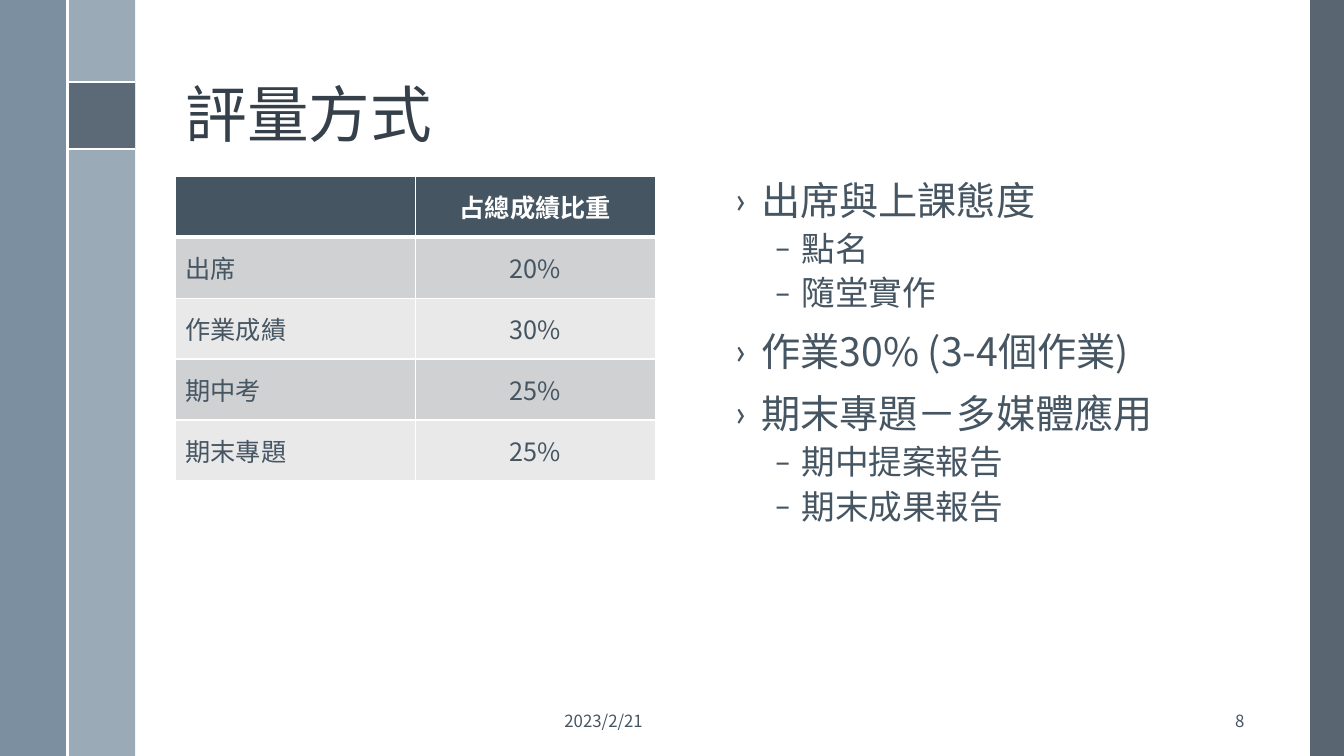
from lxml import etree
from pptx import Presentation
from pptx.dml.color import RGBColor
from pptx.enum.shapes import MSO_CONNECTOR, MSO_SHAPE
from pptx.enum.text import MSO_ANCHOR, MSO_AUTO_SIZE, PP_ALIGN
from pptx.oxml.ns import qn
from pptx.util import Inches, Pt

LEFT, CENTER, RIGHT = PP_ALIGN.LEFT, PP_ALIGN.CENTER, PP_ALIGN.RIGHT
MIDDLE, BOTTOM = MSO_ANCHOR.MIDDLE, MSO_ANCHOR.BOTTOM
RECTANGLE, STRAIGHT, NO_AUTOFIT = MSO_SHAPE.RECTANGLE, MSO_CONNECTOR.STRAIGHT, MSO_AUTO_SIZE.NONE

# Content
TITLE = "評量方式"
GRADES = [
    ("", "占總成績比重"),
    ("出席", "20%"),
    ("作業成績", "30%"),
    ("期中考", "25%"),
    ("期末專題", "25%"),
]
OUTLINE = [
    (0, "出席與上課態度"),
    (1, "點名"),
    (1, "隨堂實作"),
    (0, "作業30% (3-4個作業)"),
    (0, "期末專題－多媒體應用"),
    (1, "期中提案報告"),
    (1, "期末成果報告"),
]
# Per outline level: bullet, left margin, size, space before
LEVELS = [("›", 0.27, 28, 14), ("–", 0.67, 24, 6)]
HANGING = 0.27
DATE, PAGE = "2023/2/21", "8"

# Style and grid
CJK, LATIN = "Noto Sans CJK TC", "Calibri"
INK, TITLE_INK, WHITE = "465562", "35404A", "FFFFFF"
BANDS = ["E9E9EA", "CFD1D3"]
WIDTH, HEIGHT = 13.33, 7.5
BAR = 0.67
MARK_TOP = 0.81
TEXT_LEFT, TEXT_RIGHT = 1.74, 12.44
BODY_TOP, BODY_LEFT = 1.75, 7.18
COLUMN_WIDTH, ROW_HEIGHT = 2.38, 3.02 / len(GRADES)
FOOTER_TOP, FOOTER_HEIGHT = 6.95, 0.4


def color(value):
    return RGBColor.from_string(value)


def place(shape, left, top, width, height):
    shape.left, shape.top = Inches(left), Inches(top)
    shape.width, shape.height = Inches(width), Inches(height)


def style(paragraph, size, ink=INK, align=LEFT, bold=False, latin=CJK):
    paragraph.alignment = align
    for run in paragraph.runs:
        run.font.size, run.font.bold, run.font.name = Pt(size), bold, latin
        run.font.color.rgb = color(ink)
        etree.SubElement(run.font._element, qn("a:ea"), typeface=CJK)


def add_block(slide, left, top, width, height, fill, opacity):
    block = slide.shapes.add_shape(RECTANGLE, 0, 0, 0, 0)
    place(block, left, top, width, height)
    block.shadow.inherit = False
    block.line.fill.background()
    block.fill.solid()
    block.fill.fore_color.rgb = color(fill)
    if opacity < 100:
        tint = block._element.spPr.find(".//" + qn("a:srgbClr"))
        etree.SubElement(tint, qn("a:alpha"), val=str(opacity * 1000))


def add_rule(slide, *ends):
    rule = slide.shapes.add_connector(STRAIGHT, *[Inches(end) for end in ends])
    rule.line.color.rgb, rule.line.width = color(WHITE), Pt(1.5)
    etree.SubElement(rule._element.spPr, qn("a:effectLst"))


def set_borders(cell, bottom, top):
    widths = {"lnL": 1, "lnR": 1, "lnT": top, "lnB": bottom}
    properties = cell._tc.get_or_add_tcPr()
    for position, (side, width) in enumerate(widths.items()):
        border = etree.Element(qn("a:" + side), w=str(Pt(width)))
        fill = etree.SubElement(border, qn("a:solidFill"))
        etree.SubElement(fill, qn("a:srgbClr"), val=WHITE)
        properties.insert(position, border)


def add_decoration(slide):
    add_block(slide, WIDTH - BAR / 2, 0, BAR / 2, HEIGHT, "475562", 90)
    add_block(slide, BAR, 0, BAR, HEIGHT, "9BAAB7", 100)
    add_block(slide, 0, 0, BAR, HEIGHT, "6A8093", 88)
    add_block(slide, BAR, MARK_TOP, BAR, BAR, "475562", 75)
    for y in (MARK_TOP, MARK_TOP + BAR):
        add_rule(slide, BAR, y, 2 * BAR, y)
    add_rule(slide, BAR, 0, BAR, HEIGHT)


def add_title(slide):
    title = slide.shapes.title
    place(title, TEXT_LEFT, 0.19, TEXT_RIGHT - TEXT_LEFT, 1.36)
    frame = title.text_frame
    frame.text = TITLE
    frame.vertical_anchor, frame.auto_size = BOTTOM, NO_AUTOFIT
    frame.paragraphs[0].line_spacing = 0.9
    style(frame.paragraphs[0], 44, TITLE_INK)


def add_grades(slide):
    frame = slide.shapes.add_table(
        len(GRADES), 2, Inches(TEXT_LEFT), Inches(BODY_TOP),
        Inches(2 * COLUMN_WIDTH), Inches(ROW_HEIGHT * len(GRADES)))
    for r, row in enumerate(GRADES):
        header = r == 0
        for c, text in enumerate(row):
            cell = frame.table.cell(r, c)
            cell.text = text
            cell.vertical_anchor = MIDDLE
            cell.fill.solid()
            cell.fill.fore_color.rgb = color(INK if header else BANDS[r % 2])
            set_borders(cell, bottom=3 if header else 1, top=3 if r == 1 else 1)
            style(cell.text_frame.paragraphs[0], 18, WHITE if header else INK,
                  CENTER if c else LEFT, header, CJK if c or header else LATIN)


def add_outline(slide):
    body = slide.placeholders[1]
    place(body, BODY_LEFT, BODY_TOP, TEXT_RIGHT - BODY_LEFT, 5)
    frame = body.text_frame
    frame.auto_size = NO_AUTOFIT
    for i, (level, text) in enumerate(OUTLINE):
        bullet, margin, size, before = LEVELS[level]
        paragraph = frame.add_paragraph() if i else frame.paragraphs[0]
        paragraph.text = text
        paragraph.level = level
        paragraph.line_spacing = 0.9
        paragraph.space_before = Pt(before if i else 0)
        properties = paragraph._p.get_or_add_pPr()
        properties.set("marL", str(Inches(margin)))
        properties.set("indent", str(-Inches(HANGING)))
        etree.SubElement(properties, qn("a:buFont"), typeface=LATIN)
        etree.SubElement(properties, qn("a:buChar"), char=bullet)
        style(paragraph, size)


def add_footer(slide, text, left, width, align):
    box = slide.shapes.add_textbox(0, 0, 0, 0)
    place(box, left, FOOTER_TOP, width, FOOTER_HEIGHT)
    box.text_frame.text = text
    box.text_frame.word_wrap = True
    box.text_frame.vertical_anchor = MIDDLE
    style(box.text_frame.paragraphs[0], 12, align=align)


def main():
    deck = Presentation()
    deck.slide_width, deck.slide_height = Inches(WIDTH), Inches(HEIGHT)
    slide = deck.slides.add_slide(deck.slide_layouts[1])
    add_decoration(slide)
    add_title(slide)
    add_grades(slide)
    add_outline(slide)
    add_footer(slide, DATE, 5.5, 1.5, LEFT)
    add_footer(slide, PAGE, TEXT_RIGHT - BAR, BAR, RIGHT)
    deck.save("out.pptx")


if __name__ == "__main__":
    main()
